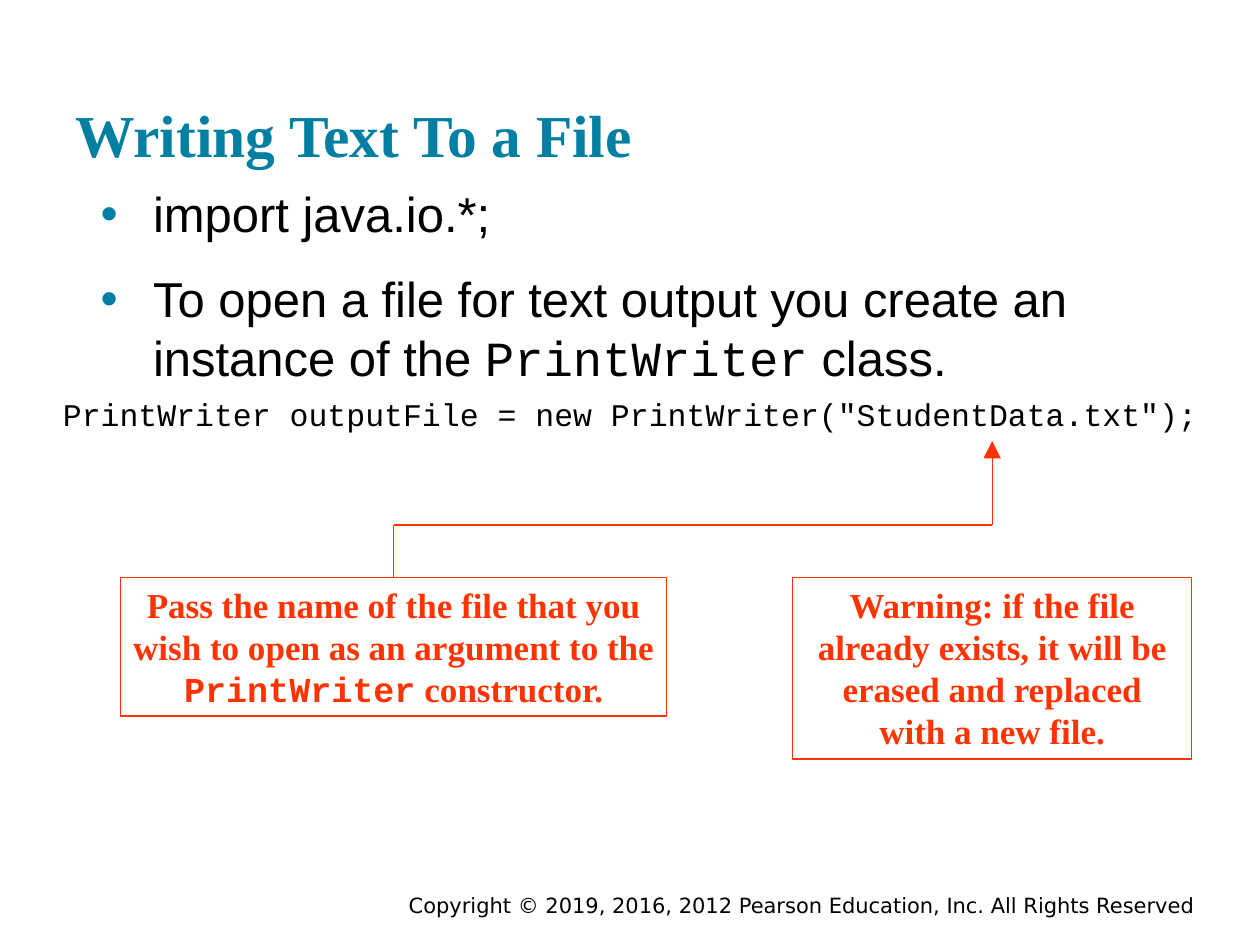
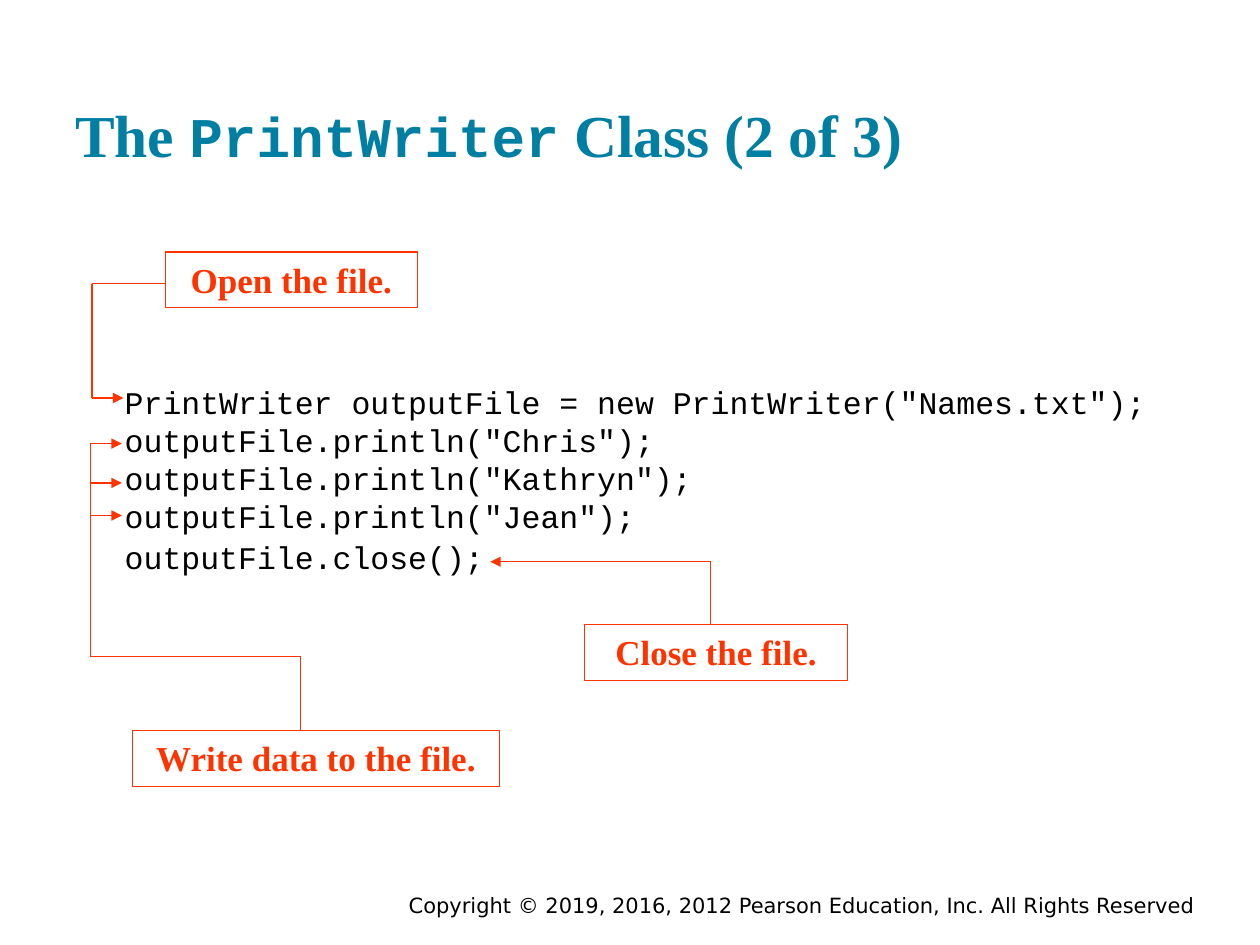
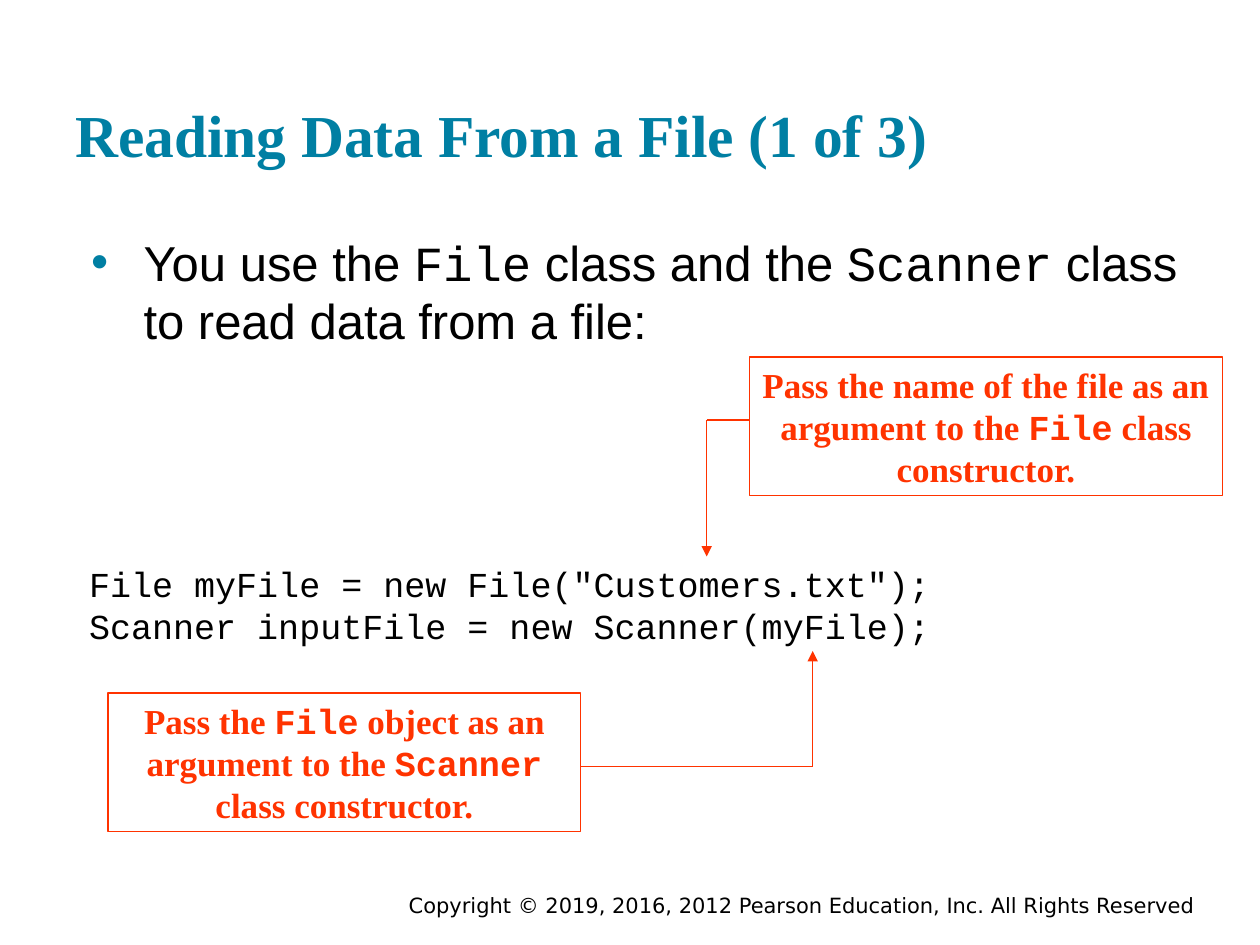
from lxml.etree import SubElement as Sub
from pptx import Presentation
from pptx.dml.color import RGBColor
from pptx.enum.shapes import MSO_CONNECTOR as LINK, MSO_SHAPE as FORM
from pptx.enum.text import MSO_ANCHOR as ANCHOR, PP_ALIGN as ALIGN
from pptx.oxml.ns import qn
from pptx.util import Inches, Pt

TEAL = RGBColor(0x00, 0x7F, 0xA3)
RED = RGBColor(0xFF, 0x33, 0x00)
BLACK = RGBColor(0x00, 0x00, 0x00)
SERIF, SANS, MONO = "Times New Roman", "Arial", "Courier New"

deck = Presentation()
deck.slide_width, deck.slide_height = Inches(10), Inches(7.5)
COL = deck.slide_width / 120
ROW = deck.slide_height / 90

SLIM = {"margin_top": Inches(0.05), "margin_bottom": Inches(0.05)}
DEEP = {"margin_top": Inches(0.1), "margin_bottom": Inches(0.1)}
LEFT = {"alignment": ALIGN.LEFT}
MID = {"alignment": ALIGN.CENTER}

TITLE = {"frame": {**DEEP, "vertical_anchor": ANCHOR.BOTTOM}, "para": LEFT, "color": TEAL,
         "fonts": [{"name": SERIF, "size": Pt(34), "bold": True},
                   {"name": MONO, "size": Pt(32), "bold": True}]}
FOOT = {"frame": SLIM, "para": {"alignment": ALIGN.RIGHT}, "color": BLACK,
        "fonts": [{"name": "DejaVu Sans", "size": Pt(12)}]}
BODY = {"frame": DEEP, "para": LEFT, "color": BLACK, "gap": Pt(15), "dot": TEAL,
        "fonts": [{"name": SANS, "size": Pt(28)}, {"name": MONO, "size": Pt(28)}]}
CODE = {"frame": SLIM, "para": LEFT, "color": BLACK,
        "fonts": [{"name": MONO, "size": Pt(18)}, {"name": SERIF, "size": Pt(20)}]}
WIDE = {**CODE, "para": MID}
BIG = {**CODE, "fonts": [{"name": MONO, "size": Pt(20)}]}
NOTE = {"frame": SLIM, "para": MID, "color": RED, "edge": RED,
        "fonts": [{"name": name, "size": Pt(20), "bold": True} for name in (SERIF, MONO)]}


def put(page, spot, style, *lines):
    left, top, wide, high = spot
    area = [int(left * COL), int(top * ROW), int(wide * COL), int(high * ROW)]
    if "edge" in style:
        box = page.shapes.add_shape(FORM.RECTANGLE, *area)
        box.shadow.inherit = False
        box.fill.background()
        box.line.color.rgb, box.line.width = style["edge"], Pt(0.75)
    else:
        box = page.shapes.add_textbox(*area)
    frame = box.text_frame
    base = {"word_wrap": True, "vertical_anchor": ANCHOR.TOP,
            "margin_left": Inches(0.1), "margin_right": Inches(0.1)}
    for key, val in {**base, **style["frame"]}.items():
        setattr(frame, key, val)
    for num, line in enumerate(lines):
        para = frame.add_paragraph() if num else frame.paragraphs[0]
        if "dot" in style:
            prop = para._p.get_or_add_pPr()
            prop.set("marL", str(int(6.4 * COL)))
            prop.set("indent", str(int(-5 * COL)))
            Sub(Sub(prop, qn("a:buClr")), qn("a:srgbClr"), val=str(style["dot"]))
            Sub(prop, qn("a:buFont"), typeface=SANS)
            Sub(prop, qn("a:buChar"), char="•")
        for key, val in style["para"].items():
            setattr(para, key, val)
        if num and "gap" in style:
            para.space_before = style["gap"]
        for turn, part in enumerate(line.split("`")):
            if part:
                run = para.add_run()
                run.text = part
                run.font.color.rgb = style["color"]
                for key, val in style["fonts"][turn % 2].items():
                    setattr(run.font, key, val)
    return box


def route(page, spots, head="med", start=None):
    for num, (one, two) in enumerate(zip(spots, spots[1:])):
        ends = [int(spot * unit) for point in (one, two) for spot, unit in zip(point, (COL, ROW))]
        link = page.shapes.add_connector(LINK.STRAIGHT, *ends)
        if start and num == 0:
            link.begin_connect(*start)
        link.line.color.rgb, link.line.width = RED, Pt(0.75)
        if head and num == len(spots) - 2:
            Sub(link.line._get_or_add_ln(), qn("a:tailEnd"), type="triangle", w=head, len=head)
        Sub(link._element.spPr, qn("a:effectLst"))


pages = []
for title in ("Writing Text To a File", "The `PrintWriter` Class (2 of 3)",
              "Reading Data From a File (1 of 3)"):
    page = deck.slides.add_slide(deck.slide_layouts[6])
    put(page, (21, 84.4, 94, 2.6), FOOT,
        "Copyright © 2019, 2016, 2012 Pearson Education, Inc. All Rights Reserved")
    put(page, (6, 2.9, 108, 14.4), TITLE, title)
    pages.append(page)
write, use, read = pages

put(write, (7, 16.3, 108, 62.8), BODY, "import java.io.*;",
    "To open a file for text output you create an instance of the `PrintWriter` class.")
put(write, (2.5, 37, 115, 4.8), WIDE,
    'PrintWriter outputFile = new PrintWriter("StudentData.txt");')
name = put(write, (11.5, 55, 52, 13.2), NOTE,
           "Pass the name of the file that you wish to open as an argument to the "
           "`PrintWriter` constructor.")
route(write, [(37.5, 55), (37.5, 50), (94.5, 50), (94.5, 42)], "lg", (name, 0))
put(write, (75.5, 55, 38, 17.3), NOTE,
    "Warning: if the file already exists, it will be erased and replaced with a new file.")

put(use, (10.7, 35.9, 102, 19.7), CODE,
    'PrintWriter outputFile = new PrintWriter("Names.txt");',
    *(f'outputFile.println("{who}");' for who in ("Chris", "Kathryn", "Jean")),
    "outputFile.close();` `")
for spot, text in (((15.75, 24, 24, 5.3), "Open the file."),
                   ((12.6, 69.6, 35, 5.3), "Write data to the file."),
                   ((55.7, 59.5, 25, 5.3), "Close the file.")):
    put(use, spot, NOTE, text)
route(use, [(15.75, 27), (8.75, 27), (8.75, 37.9), (11.75, 37.9)])
for row in (42.25, 46, 49.1):
    route(use, [(8.6, row), (11.6, row)])
route(use, [(8.6, 42.25), (8.6, 62.5), (28.6, 62.5), (28.6, 69.6)], None)
route(use, [(67.7, 59.5), (67.7, 53.5), (46.7, 53.5)])

put(read, (6.1, 20.9, 108, 59.4), BODY,
    "You use the `File` class and the `Scanner` class to read data from a file:")
put(read, (7.3, 53, 86, 9.2), BIG,
    'File myFile = new File("Customers.txt");', "Scanner inputFile = new Scanner(myFile);")
put(read, (71.4, 34, 45, 13.2), NOTE,
    "Pass the name of the file as an argument to the `File` class constructor.")
put(read, (10.3, 66, 45, 13.2), NOTE,
    "Pass the `File` object as an argument to the `Scanner` class constructor.")
route(read, [(71.4, 40), (67.3, 40), (67.3, 53)])
route(read, [(55.3, 73), (77.4, 73), (77.4, 62)])

deck.save("out.pptx")
